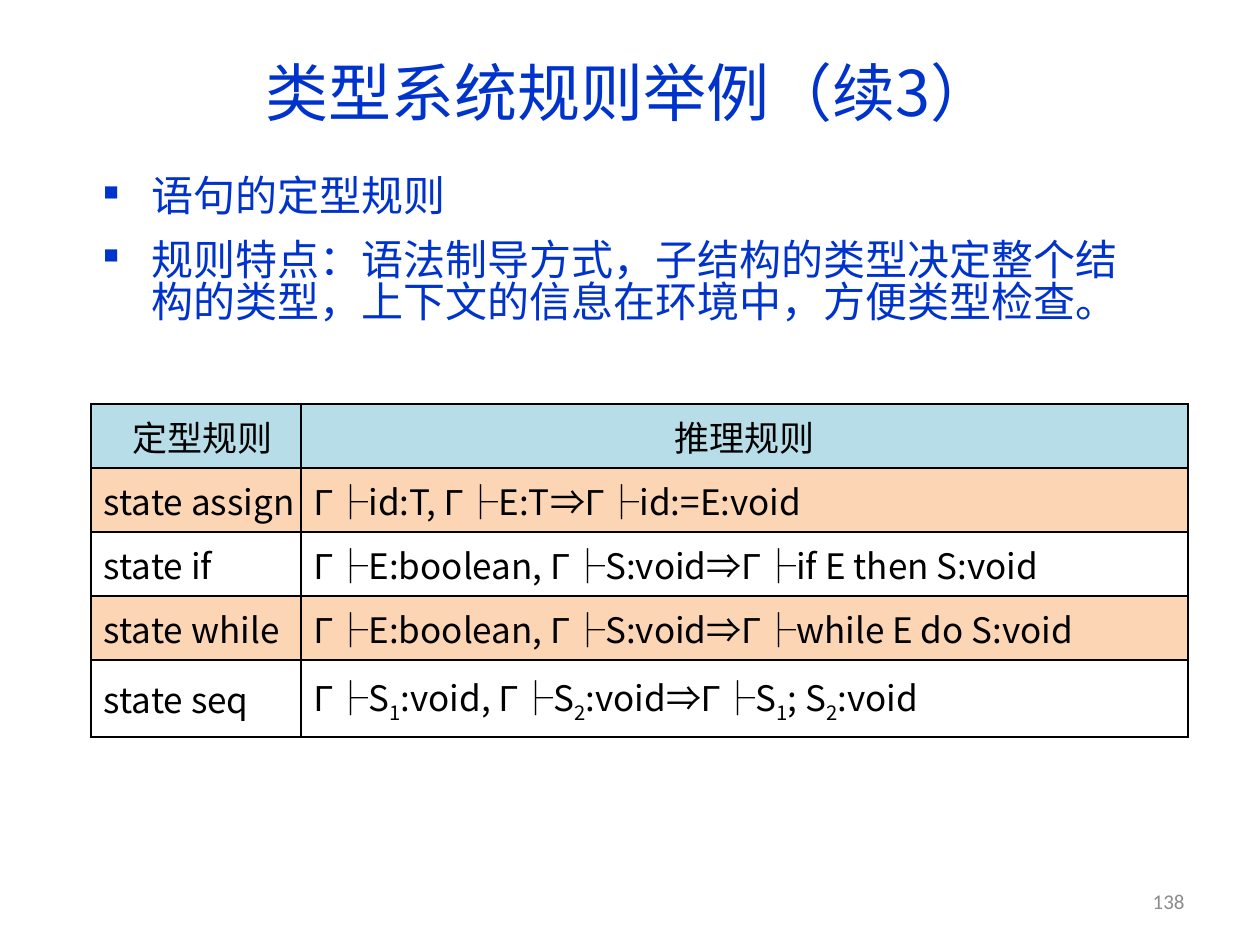
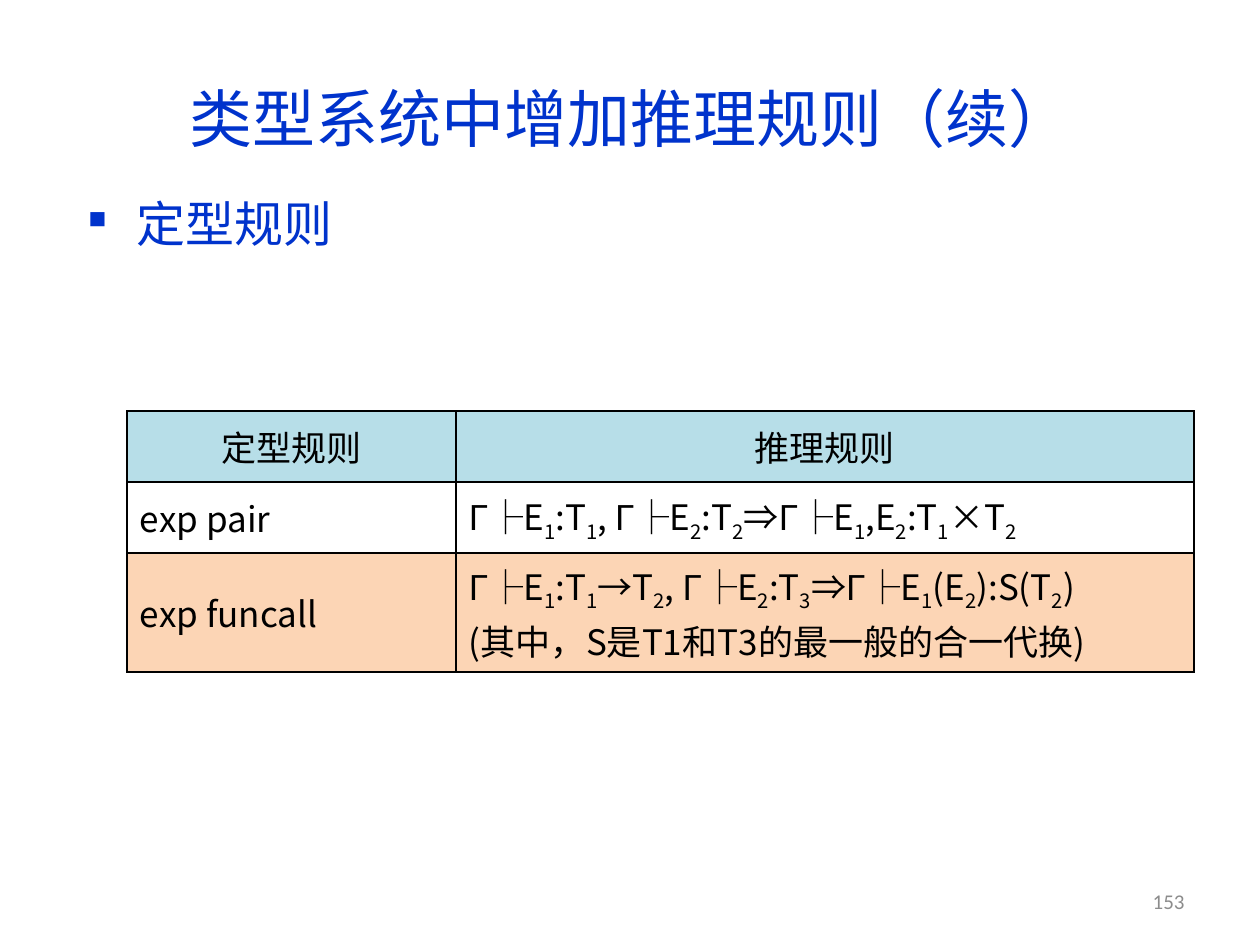
"""Build two slides of typing rules, each with a title, bullets and a rule table."""
import itertools

import pptx
import pptx.dml.color
import pptx.enum.text
import pptx.oxml
import pptx.oxml.ns
import pptx.util

PX_PER_INCH = 126
SANS, GREEK, TITLE_FONT, NUMBER_FONT = "Noto Sans CJK SC", "Roboto", "Noto Sans CJK JP", "Calibri"
BLUE, BLACK, GREY, HEADER, BAND = "0033CC", "000000", "8C8C8C", "B7DEE8", "FCD5B5"
ALIGN = pptx.enum.text.PP_ALIGN
MIDDLE = pptx.enum.text.MSO_ANCHOR.MIDDLE
NAMESPACE = pptx.oxml.ns.nsdecls("a")
NUMBER_BOX = (903, 876, 294, 50)
HEADINGS = ("定型规则", "推理规则")

SLIDES = [
    {
        "title": "类型系统规则举例（续3）",
        "title_box": (63, 38, 1134, 106),
        "bullets": [
            "语句的定型规则",
            "规则特点：语法制导方式，子结构的类型决定整个结构的类型，上下文的信息在环境中，方便类型检查。",
        ],
        "bullet_box": (91, 169, 1061, 180),
        "bullet_size": 24,
        "number": "138",
        "table_at": (91, 404),
        "columns": (210, 887),
        "row_heights": (64, 64, 64, 64, 77),
        "name_right_margin": 0,
        "banded_rows": (1, 3),
        "rules": [
            ("state assign", "Γ├id:T, Γ├E:T⇒Γ├id:=E:void"),
            ("state if", "Γ├E:boolean, Γ├S:void⇒Γ├if E then S:void"),
            ("state while", "Γ├E:boolean, Γ├S:void⇒Γ├while E do S:void"),
            ("state seq", "Γ├S_1:void, Γ├S_2:void⇒Γ├S_1; S_2:void"),
        ],
    },
    {
        "title": "类型系统中增加推理规则（续）",
        "title_box": (63, 38, 1134, 158),
        "bullets": ["定型规则"],
        "bullet_box": (76, 194, 753, 84),
        "bullet_size": 28,
        "number": "153",
        "table_at": (127, 411),
        "columns": (329, 738),
        "row_heights": (71, 71, 119),
        "name_right_margin": 13,
        "banded_rows": (2,),
        "rules": [
            ("exp pair", "Γ├E_1:T_1, Γ├E_2:T_2⇒Γ├E_1,E_2:T_1×T_2"),
            ("exp funcall", "Γ├E_1:T_1→T_2, Γ├E_2:T_3⇒Γ├E_1(E_2):S(T_2)\n"
                            "(其中，S是T1和T3的最一般的合一代换)"),
        ],
    },
]


def px(n):
    return pptx.util.Emu(round(n * 914400 / PX_PER_INCH))


def color(value):
    return pptx.dml.color.RGBColor.from_string(value)


def place(sp, box):
    sp.left, sp.top, sp.width, sp.height = map(px, box)


def split_runs(text):
    """Yield (text, is_subscript), where "_" marks the next character as subscript."""
    for i, piece in enumerate(text.split("_")):
        if i:
            yield piece[0], True
            piece = piece[1:]
        for _, group in itertools.groupby(piece, lambda c: c == "Γ"):
            yield "".join(group), False


def add_run(p, text, size, font, ink, subscript=False):
    r = p.add_run()
    r.text = text
    r.font.size = pptx.util.Pt(size)
    r.font.name = font
    r.font.color.rgb = color(ink)
    rpr = r.font._element
    rpr.append(pptx.oxml.parse_xml(f'<a:ea {NAMESPACE} typeface="{font}"/>'))
    if subscript:
        rpr.set("baseline", "-25000")


def add_bullet(p):
    ppr = p._p.get_or_add_pPr()
    ppr.set("marL", str(px(48)))
    ppr.set("indent", str(-px(48)))
    for xml in (f'<a:buClr {NAMESPACE}><a:srgbClr val="{BLUE}"/></a:buClr>',
                f'<a:buSzPct {NAMESPACE} val="50000"/>',
                f'<a:buChar {NAMESPACE} char="■"/>'):
        ppr.append(pptx.oxml.parse_xml(xml))
    p.line_spacing = 0.84
    p.space_after = pptx.util.Pt(6)


def write(tf, text, size=20, font=SANS, ink=BLACK, align=ALIGN.LEFT, bullet=False):
    tf.word_wrap = True
    for i, line in enumerate(text.split("\n")):
        p = tf.add_paragraph() if i else tf.paragraphs[0]
        p.alignment = align
        if bullet:
            add_bullet(p)
            p.space_before = pptx.util.Pt(6 if i else 0)
        for part, subscript in split_runs(line):
            add_run(p, part, size, GREEK if part == "Γ" else font, ink, subscript)


def add_borders(cell):
    tcpr = cell._tc.get_or_add_tcPr()
    for i, side in enumerate(("lnL", "lnR", "lnT", "lnB")):
        tcpr.insert(i, pptx.oxml.parse_xml(
            f'<a:{side} {NAMESPACE} w="12700"><a:solidFill>'
            f'<a:srgbClr val="{BLACK}"/></a:solidFill></a:{side}>'))


def add_rule_table(slide, data):
    rows = [HEADINGS, *data["rules"]]
    widths, heights = data["columns"], data["row_heights"]
    box = map(px, (*data["table_at"], sum(widths), sum(heights)))
    table = slide.shapes.add_table(len(rows), len(widths), *box).table
    table.first_row = table.horz_banding = False
    for column, width in zip(table.columns, widths):
        column.width = px(width)
    for i, (row, height) in enumerate(zip(rows, heights)):
        table.rows[i].height = px(height)
        for j, text in enumerate(row):
            cell = table.cell(i, j)
            cell.vertical_anchor = MIDDLE
            cell.margin_left = px(13)
            cell.margin_right = px(13 if j else data["name_right_margin"])
            cell.margin_top = cell.margin_bottom = px(6)
            write(cell.text_frame, text, align=ALIGN.LEFT if i else ALIGN.CENTER)
            if i == 0 or i in data["banded_rows"]:
                cell.fill.solid()
                cell.fill.fore_color.rgb = color(BAND if i else HEADER)
            else:
                cell.fill.background()
            add_borders(cell)


def add_slide(prs, data):
    slide = prs.slides.add_slide(prs.slide_layouts[5])
    title = slide.shapes.title
    place(title, data["title_box"])
    title.text_frame.auto_size = pptx.enum.text.MSO_AUTO_SIZE.NONE
    title.text_frame.vertical_anchor = MIDDLE
    write(title.text_frame, data["title"], size=36, font=TITLE_FONT, ink=BLUE, align=ALIGN.CENTER)

    body = slide.shapes.add_textbox(*map(px, data["bullet_box"])).text_frame
    body.margin_top = px(9)
    write(body, "\n".join(data["bullets"]), size=data["bullet_size"], ink=BLUE, bullet=True)

    number = slide.shapes.add_textbox(*map(px, NUMBER_BOX)).text_frame
    number.vertical_anchor = MIDDLE
    write(number, data["number"], size=12, font=NUMBER_FONT, ink=GREY, align=ALIGN.RIGHT)

    add_rule_table(slide, data)


def main():
    prs = pptx.Presentation()
    prs.slide_width, prs.slide_height = px(1260), px(945)
    for data in SLIDES:
        add_slide(prs, data)
    prs.save("out.pptx")


if __name__ == "__main__":
    main()
